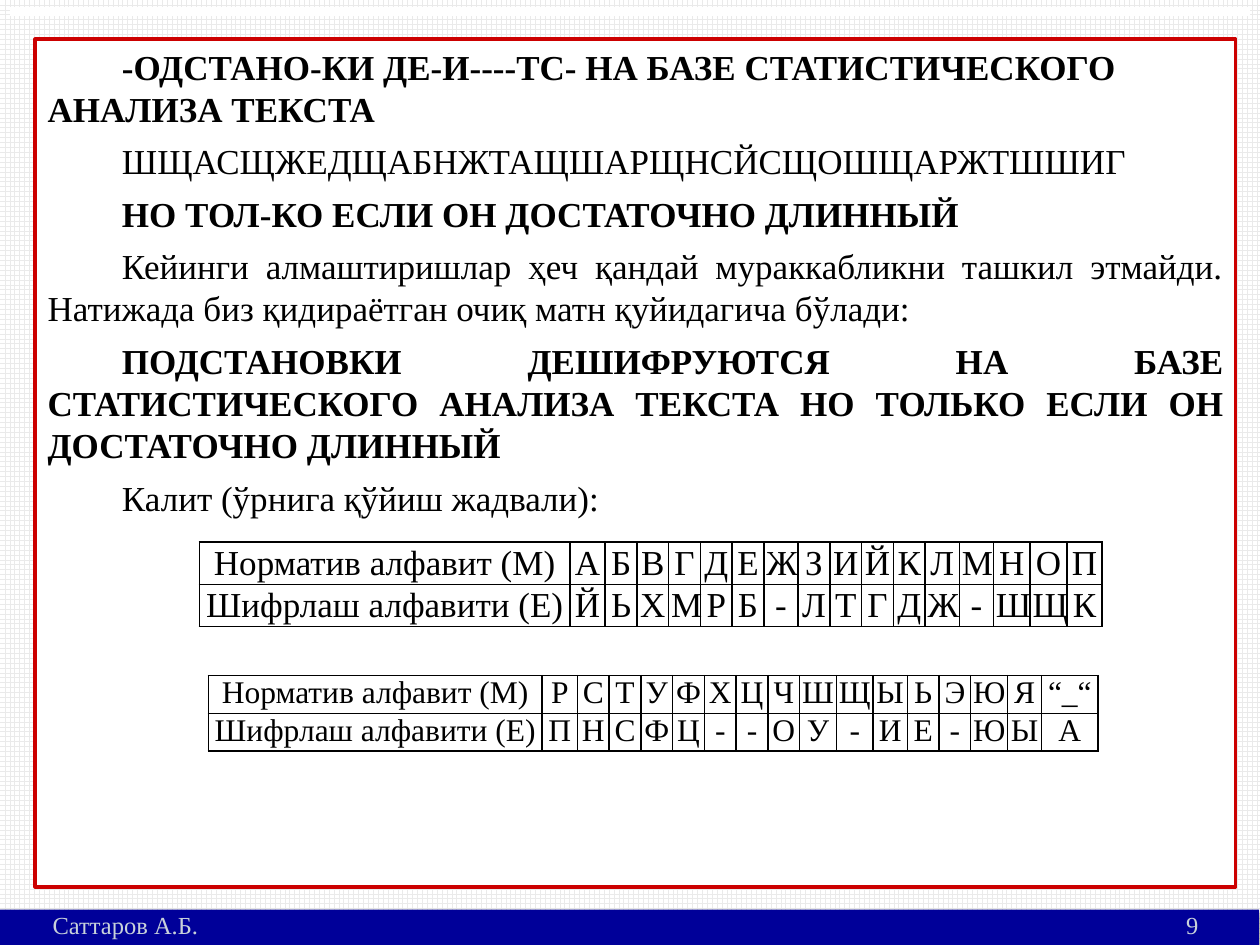
from lxml import etree
from pptx import Presentation
from pptx.dml.color import RGBColor
from pptx.enum.dml import MSO_PATTERN
from pptx.enum.shapes import MSO_CONNECTOR, MSO_SHAPE
from pptx.enum.text import MSO_ANCHOR, PP_ALIGN
from pptx.oxml import parse_xml
from pptx.oxml.ns import nsdecls, qn
from pptx.util import Cm, Pt

LEFT, CENTER, JUSTIFY = PP_ALIGN.LEFT, PP_ALIGN.CENTER, PP_ALIGN.JUSTIFY
TOP, MIDDLE = MSO_ANCHOR.TOP, MSO_ANCHOR.MIDDLE
BLACK = RGBColor(0x00, 0x00, 0x00)
WHITE = RGBColor(0xFF, 0xFF, 0xFF)
RED = RGBColor(0xCC, 0x00, 0x00)
NAVY = RGBColor(0x00, 0x00, 0x99)
PALE_BLUE = RGBColor(0xC8, 0xD1, 0xDA)
GRID_GRAY = RGBColor(0xEA, 0xEA, 0xEA)
FONT = "Times New Roman"

PARAGRAPHS = [
    ("-ОДСТАНО-КИ ДЕ-И----ТС- НА БАЗЕ СТАТИСТИЧЕСКОГО АНАЛИЗА ТЕКСТА", True, LEFT),
    ("ШЩАСЩЖЕДЩАБНЖТАЩШАРЩНСЙСЩОШЩАРЖТШШИГ", False, LEFT),
    ("НО ТОЛ-КО ЕСЛИ ОН ДОСТАТОЧНО ДЛИННЫЙ", True, LEFT),
    ("Кейинги алмаштиришлар ҳеч қандай мураккабликни ташкил этмайди. "
     "Натижада биз қидираётган очиқ матн қуйидагича бўлади:", False, JUSTIFY),
    ("ПОДСТАНОВКИ ДЕШИФРУЮТСЯ НА БАЗЕ СТАТИСТИЧЕСКОГО АНАЛИЗА ТЕКСТА "
     "НО ТОЛЬКО ЕСЛИ ОН ДОСТАТОЧНО ДЛИННЫЙ", True, JUSTIFY),
    ("Калит (ўрнига қўйиш жадвали):", False, JUSTIFY),
]
AUTHOR, PAGE = "Саттаров А.Б.", "9"
ROW_LABELS = ["Норматив алфавит (M)", "Шифрлаш алфавити (E)"]
KEY_TABLES = [
    {
        "letters": [list("АБВГДЕЖЗИЙКЛМНОП"), list("ЙЬХМРБ-ЛТГДЖ-ШЩК")],
        "left": 4.02, "top": 10.93, "row_height": 0.85, "size": 20, "anchor": MIDDLE,
        "widths": [7.47, 0.71, 0.64, 0.64, 0.64, 0.64, 0.64, 0.69, 0.64, 0.64,
                   0.64, 0.64, 0.69, 0.69, 0.74, 0.74, 0.71],
    },
    {
        "letters": [list("РСТУФХЦЧШЩЫЬЭЮЯ") + ["“_“"], list("ПНСФЦ--ОУ-ИЕ-ЮЫА")],
        "left": 4.2, "top": 13.62, "row_height": 0.76, "size": 18, "anchor": TOP,
        "widths": [6.73, 0.71, 0.64, 0.64, 0.64, 0.64, 0.64, 0.64, 0.64, 0.74,
                   0.74, 0.69, 0.64, 0.64, 0.74, 0.69, 1.14],
    },
]


def set_font(paragraph, size, color, bold=False):
    font = paragraph.font
    font.name, font.size, font.bold = FONT, Pt(size), bold
    font.color.rgb = color


def add_panel(slide, left, top, width, height, fill):
    panel = slide.shapes.add_shape(
        MSO_SHAPE.RECTANGLE, Cm(left), Cm(top), Cm(width), Cm(height))
    panel.shadow.inherit = False
    panel.fill.solid()
    panel.fill.fore_color.rgb = fill
    panel.text_frame.word_wrap = True
    return panel


def add_body(slide):
    body = add_panel(slide, 0.71, 0.79, 24.2, 17.09, WHITE)
    body.line.color.rgb = RED
    body.line.width = Pt(2)
    frame = body.text_frame
    frame.vertical_anchor = TOP
    for index, (text, bold, alignment) in enumerate(PARAGRAPHS):
        paragraph = frame.add_paragraph() if index else frame.paragraphs[0]
        paragraph.text = text
        paragraph.alignment = alignment
        paragraph.space_after = Pt(6)
        paragraph._p.get_or_add_pPr().set("indent", str(Cm(1.5)))
        set_font(paragraph, 20, BLACK, bold)


def add_top_rule(slide):
    rule = slide.shapes.add_connector(
        MSO_CONNECTOR.STRAIGHT, Cm(0.2), Cm(0.23), Cm(25.2), Cm(0.23))
    rule.line.color.rgb = WHITE
    rule.line.width = Pt(5)
    etree.SubElement(rule._element.spPr, qn("a:effectLst"))


def add_footer(slide):
    footer = add_panel(slide, -0.02, 18.34, 25.4, 0.71, NAVY)
    footer.line.fill.background()
    footer._element.spPr.find(qn("a:effectLst")).append(parse_xml(
        f'<a:outerShdw {nsdecls("a")} blurRad="{Pt(3.1)}" dist="{Pt(1.8)}" '
        'dir="5400000" rotWithShape="0"><a:srgbClr val="000000">'
        '<a:alpha val="35000"/></a:srgbClr></a:outerShdw>'))
    frame = footer.text_frame
    frame.vertical_anchor = MIDDLE
    frame.margin_left, frame.margin_right = Cm(1.08), Cm(0.25)
    frame.margin_top, frame.margin_bottom = 0, Cm(0.1)
    paragraph = frame.paragraphs[0]
    paragraph.text = f"{AUTHOR}\t{PAGE}"
    paragraph.alignment = LEFT
    paragraph._p.get_or_add_pPr().append(parse_xml(
        f'<a:tabLst {nsdecls("a")}><a:tab pos="{Cm(23.1)}" algn="r"/></a:tabLst>'))
    set_font(paragraph, 14, PALE_BLUE)


def format_cell(cell, text, size, anchor):
    cell.text = text
    cell.vertical_anchor = anchor
    cell.margin_left = cell.margin_right = Cm(0.05)
    cell.margin_top = cell.margin_bottom = 0
    for side in ("lnL", "lnR", "lnT", "lnB"):
        cell._tc.get_or_add_tcPr().append(parse_xml(
            f'<a:{side} {nsdecls("a")} w="{Pt(1)}"><a:solidFill>'
            f'<a:srgbClr val="{BLACK}"/></a:solidFill></a:{side}>'))
    cell.fill.background()
    paragraph = cell.text_frame.paragraphs[0]
    paragraph.alignment = CENTER
    paragraph.space_after = Pt(6)
    set_font(paragraph, size, BLACK)


def add_key_table(slide, key):
    widths, height = key["widths"], key["row_height"]
    table = slide.shapes.add_table(
        len(ROW_LABELS), len(widths), Cm(key["left"]), Cm(key["top"]),
        Cm(sum(widths)), Cm(height * len(ROW_LABELS))).table
    table.first_row = table.horz_banding = False
    for column, width in zip(table.columns, widths):
        column.width = Cm(width)
    for row, label, letters in zip(table.rows, ROW_LABELS, key["letters"]):
        row.height = Cm(height)
        for cell, text in zip(row.cells, [label] + letters):
            format_cell(cell, text, key["size"], key["anchor"])


def main():
    presentation = Presentation()
    presentation.slide_width, presentation.slide_height = Cm(25.4), Cm(19.05)
    slide = presentation.slides.add_slide(presentation.slide_layouts[6])
    backdrop = slide.background.fill
    backdrop.patterned()
    backdrop.pattern = MSO_PATTERN.LARGE_GRID
    backdrop.fore_color.rgb = GRID_GRAY
    backdrop.back_color.rgb = WHITE
    add_body(slide)
    add_top_rule(slide)
    add_footer(slide)
    for key in KEY_TABLES:
        add_key_table(slide, key)
    presentation.save("out.pptx")


if __name__ == "__main__":
    main()
